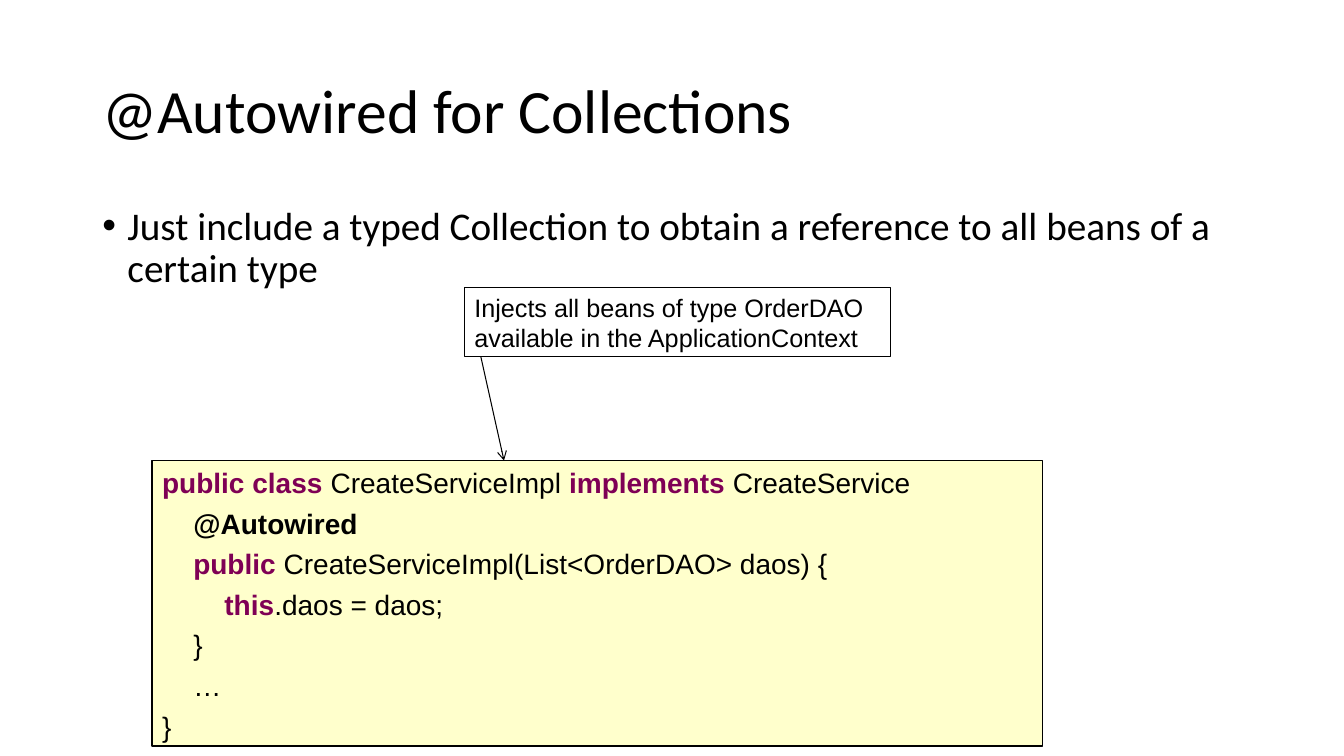
from pptx import Presentation
from pptx.dml.color import RGBColor
from pptx.enum.shapes import MSO_CONNECTOR, MSO_SHAPE
from pptx.enum.text import MSO_ANCHOR, PP_ALIGN
from pptx.oxml.ns import qn
from pptx.util import Pt
from lxml import etree

RECT, LINE = MSO_SHAPE.RECTANGLE, MSO_CONNECTOR.STRAIGHT
TOP, MIDDLE, LEFT = MSO_ANCHOR.TOP, MSO_ANCHOR.MIDDLE, PP_ALIGN.LEFT
BLACK, PLUM, WHITE, CREAM = "000000", "7F0055", "FFFFFF", "FFFFCC"
STEP = 22.24  # one code indent level


def color(code):
    return RGBColor.from_string(code)


def write(shape, lines, size, name, anchor=TOP, wrap=True, **form):
    """Each line is a list of (text, color, bold) runs."""
    frame = shape.text_frame
    frame.word_wrap, frame.vertical_anchor = wrap, anchor
    for i, runs in enumerate(lines):
        para = frame.paragraphs[0] if i == 0 else frame.add_paragraph()
        para.alignment = LEFT
        for key, value in form.items():
            setattr(para, key, value)
        for text, tint, bold in runs:
            run = para.add_run()
            run.text = text
            for key, value in {"size": Pt(size), "name": name, "bold": bold}.items():
                setattr(run.font, key, value)
            run.font.color.rgb = color(tint)
    return frame.paragraphs


deck = Presentation()
deck.slide_width, deck.slide_height = Pt(960), Pt(540)
slide = deck.slides.add_slide(deck.slide_layouts[6])
shapes = slide.shapes

# Title
title = shapes.add_textbox(Pt(66), Pt(28.8), Pt(828), Pt(104.4))
write(title, [[("@Autowired for Collections", BLACK, False)]], 44, "Calibri",
      MIDDLE, line_spacing=0.9)

# Bullet
body = shapes.add_textbox(Pt(66), Pt(144), Pt(828), Pt(88.5))
point = "Just include a typed Collection to obtain a reference to all beans of a certain type"
para = write(body, [[(point, BLACK, False)]], 28, "Calibri",
             line_spacing=0.9, space_before=Pt(10))[0]
props = para._p.get_or_add_pPr()
props.set("marL", str(Pt(18)))
props.set("indent", str(Pt(-18)))
etree.SubElement(props, qn("a:buFont")).set("typeface", "Arial")
etree.SubElement(props, qn("a:buChar")).set("char", "•")

# Callout and code boxes
boxes = []
for left, top, width, height, fill, weight in (
        (331.7, 205.2, 304.3, 49.3, WHITE, 0.74),
        (108.7, 329, 636, 203.8, CREAM, 1)):
    box = shapes.add_shape(RECT, Pt(left), Pt(top), Pt(width), Pt(height))
    box.shadow.inherit = False
    box.fill.solid()
    box.fill.fore_color.rgb = color(fill)
    box.line.color.rgb = color(BLACK)
    box.line.width = Pt(weight)
    boxes.append(box)
note, code = boxes

write(note, [[("Injects all beans of type OrderDAO", BLACK, False)],
             [("available in the ApplicationContext", BLACK, False)]],
      18, "Arial", wrap=False)

# Code, as indent level and runs
source = [
    (0, [("public class ", PLUM, True), ("CreateServiceImpl ", BLACK, False),
         ("implements ", PLUM, True), ("CreateService", BLACK, False)]),
    (1, [("@Autowired", BLACK, True)]),
    (1, [("public ", PLUM, True),
         ("CreateServiceImpl(List<OrderDAO> daos) {", BLACK, False)]),
    (2, [("this", PLUM, True), (".daos = daos;", BLACK, False)]),
    (1, [("}", BLACK, False)]),
    (1, [("…", BLACK, False)]),
    (0, [("}", BLACK, False)]),
]
paras = write(code, [runs for level, runs in source], 20, "Arial", space_before=Pt(5))
paras[0].space_before = Pt(0)
for para, (level, runs) in zip(paras, source):
    para._p.get_or_add_pPr().set("marL", str(Pt(level * STEP)))

# Arrow from callout to code
arrow = shapes.add_connector(LINE, Pt(343.4), Pt(254.5), Pt(360), Pt(329))
arrow.line.color.rgb = color(BLACK)
arrow.line.width = Pt(0.74)
etree.SubElement(arrow.line._get_or_add_ln(), qn("a:tailEnd")).set("type", "arrow")
etree.SubElement(arrow._element.spPr, qn("a:effectLst"))

deck.save("out.pptx")
